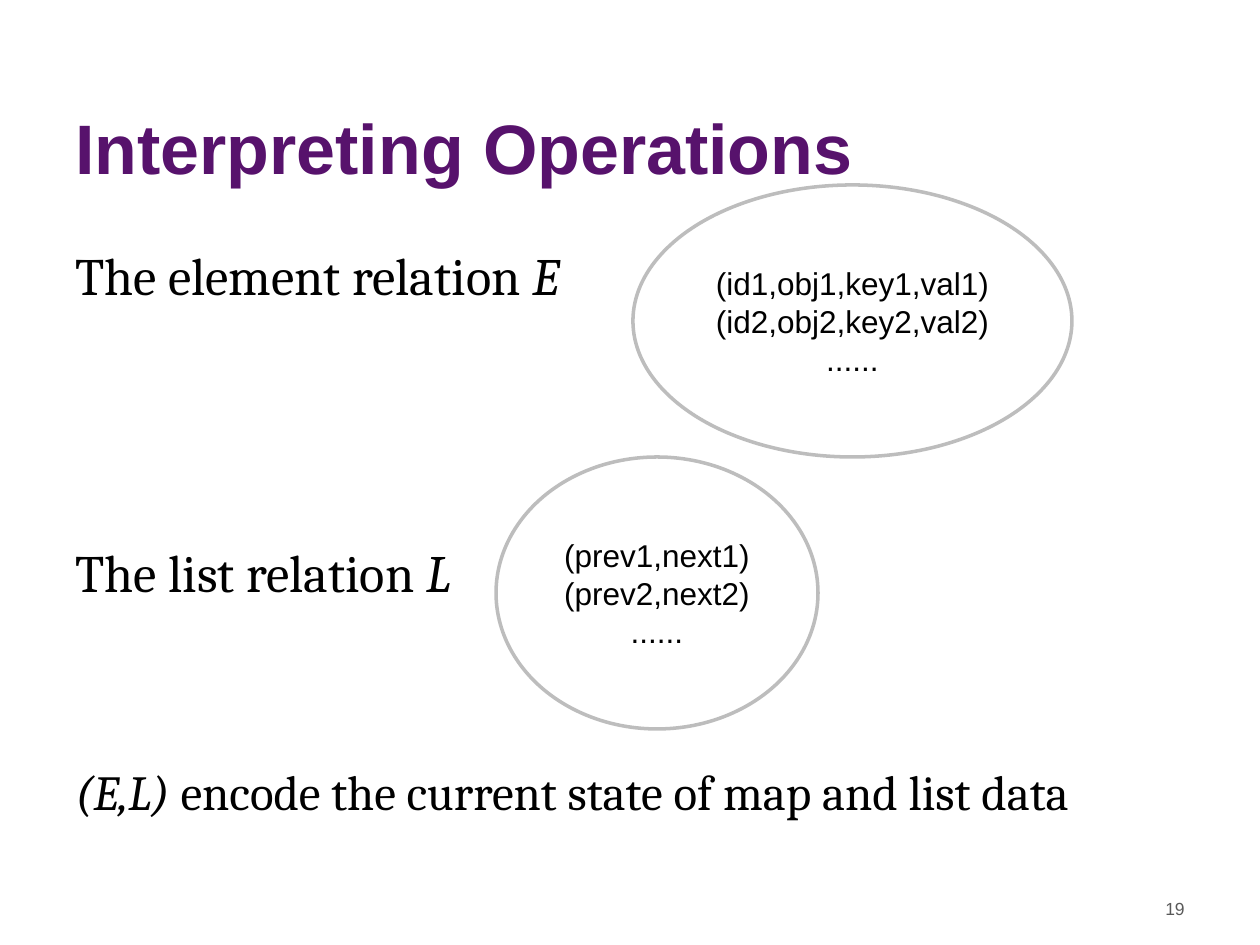
import pptx
import pptx.util
import pptx.dml.color
import pptx.enum.shapes
import pptx.enum.text

Pt = pptx.util.Pt
RGB = pptx.dml.color.RGBColor
ALIGN = pptx.enum.text.PP_ALIGN
ANCHOR = pptx.enum.text.MSO_ANCHOR

SCALE = 914400 // 126
PURPLE = RGB(0x57, 0x12, 0x6C)
BLACK = RGB(0, 0, 0)
WHITE = RGB(0xFF, 0xFF, 0xFF)
GREY = RGB(0xBD, 0xBD, 0xBD)
DARK = RGB(0x59, 0x59, 0x59)


def px(*sizes):
    """Turn pixels into EMU."""
    return [size * SCALE for size in sizes]


def style(para, name, size, color, align=ALIGN.LEFT):
    """Set the font and alignment of a paragraph."""
    para.font.name = name
    para.font.size = Pt(size)
    para.font.color.rgb = color
    para.alignment = align


def add_box(slide, place, anchor=ANCHOR.TOP):
    """Add a wrapping text box and return its frame."""
    frame = slide.shapes.add_textbox(*px(*place)).text_frame
    frame.word_wrap = True
    frame.vertical_anchor = anchor
    return frame


def add_line(slide, place, text, size, color, align, anchor, bold=False):
    """Add a text box with one line in Arial."""
    para = add_box(slide, place, anchor).paragraphs[0]
    para.text = text
    style(para, "Arial", size, color, align)
    para.font.bold = bold


def add_body(slide, place, items):
    """Add the body; each item is size, space before and runs."""
    frame = add_box(slide, place)
    for i, (size, gap, runs) in enumerate(items):
        para = frame.add_paragraph() if i else frame.paragraphs[0]
        style(para, "Cambria", size, BLACK)
        para.space_before = Pt(gap)
        for text, slant in runs:
            run = para.add_run()
            run.text = text
            run.font.italic = slant


def add_set(slide, place, rows):
    """Add an ellipse that lists the tuples of a relation."""
    oval = slide.shapes.add_shape(
        pptx.enum.shapes.MSO_SHAPE.OVAL, *px(*place))
    oval.shadow.inherit = False
    oval.fill.solid()
    oval.fill.fore_color.rgb = WHITE
    oval.line.color.rgb = GREY
    oval.line.width = Pt(2)
    frame = oval.text_frame
    frame.vertical_anchor = ANCHOR.MIDDLE
    frame.text = "\n".join(rows)
    for para in frame.paragraphs:
        style(para, "Arial", 18, BLACK, ALIGN.CENTER)


def main():
    """Build the slide and save it."""
    deck = pptx.Presentation()
    deck.slide_width, deck.slide_height = px(1260, 945)
    slide = deck.slides.add_slide(deck.slide_layouts[6])
    add_line(slide, (63, 16, 1040, 179), "Interpreting Operations",
             40, PURPLE, ALIGN.LEFT, ANCHOR.BOTTOM, bold=True)
    add_body(slide, (63, 237, 1134, 650), [
        (30, 0, [("The element relation ", False), ("E", True)]),
        (30, 133.4, [("The list relation ", False), ("L", True)]),
        (28, 91, [("(E,L) ", True),
                  ("encode the current state of map and list data", False)]),
    ])
    add_line(slide, (903, 892, 294, 49), "19",
             10, DARK, ALIGN.RIGHT, ANCHOR.TOP)
    add_set(slide, (633, 185, 439, 272),
            ["(id1,obj1,key1,val1)", "(id2,obj2,key2,val2)", "......"])
    add_set(slide, (496, 457, 322, 272),
            ["(prev1,next1)", "(prev2,next2)", "......"])
    deck.save("out.pptx")


main()
